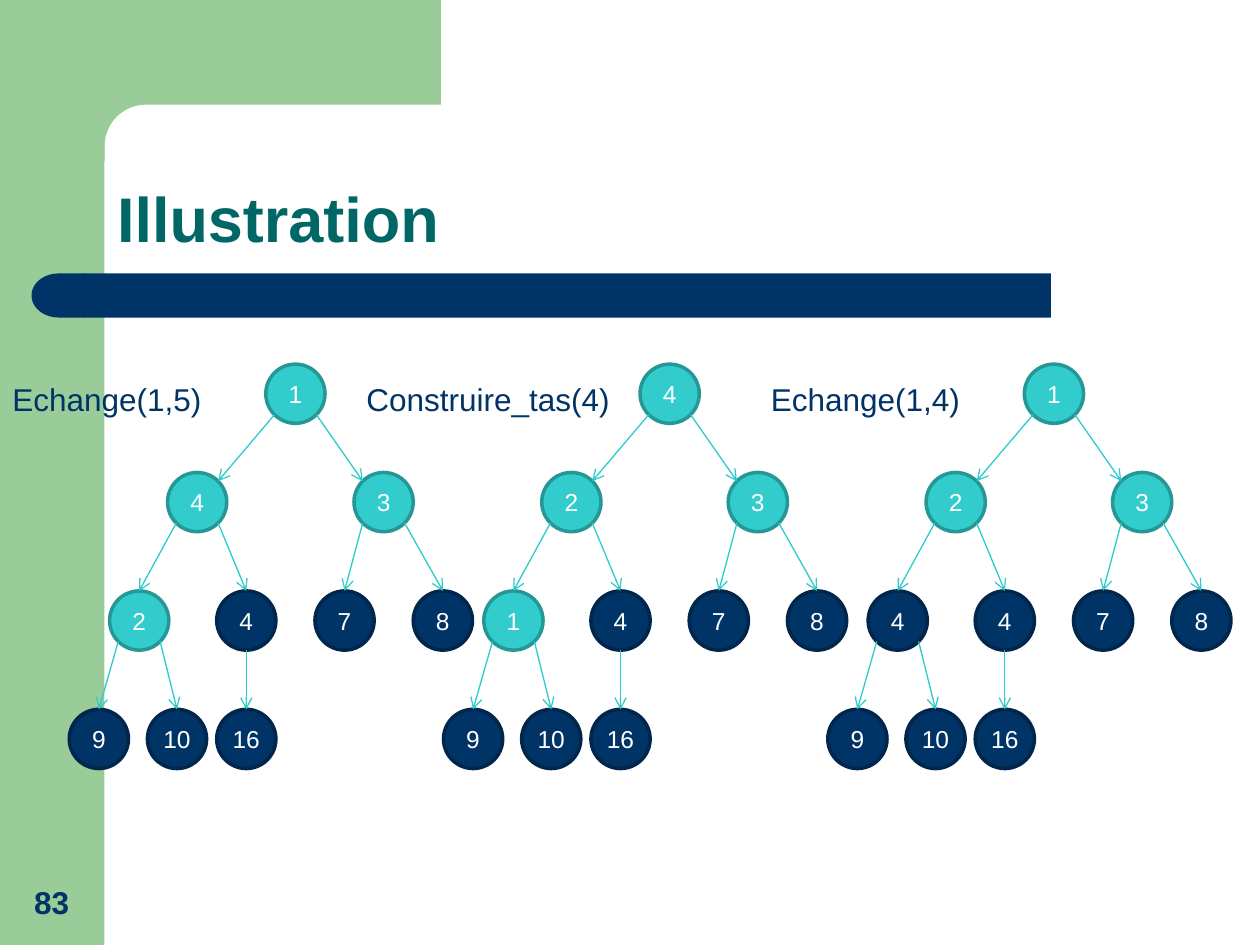
from math import cos, pi, sin, sqrt

from lxml import etree
from pptx import Presentation
from pptx.dml.color import RGBColor
from pptx.enum.shapes import MSO_CONNECTOR, MSO_SHAPE
from pptx.enum.text import MSO_ANCHOR, MSO_AUTO_SIZE, PP_ALIGN
from pptx.oxml.ns import qn
from pptx.util import Inches, Pt

RECT, ROUND = MSO_SHAPE.RECTANGLE, MSO_SHAPE.ROUNDED_RECTANGLE
DELAY, OVAL = MSO_SHAPE.FLOWCHART_DELAY, MSO_SHAPE.OVAL
LINE = MSO_CONNECTOR.STRAIGHT
TOP, MIDDLE, BOTTOM = MSO_ANCHOR.TOP, MSO_ANCHOR.MIDDLE, MSO_ANCHOR.BOTTOM
LEFT, CENTER = PP_ALIGN.LEFT, PP_ALIGN.CENTER
FIXED = MSO_AUTO_SIZE.NONE

GREEN, NAVY, TEAL, WHITE = "99CC99", "003366", "33CCCC", "FFFFFF"
SIZE = 0.47
DIAG = SIZE / 2 / sqrt(2)
SPOTS = [
    (2.11, 2.89), (1.33, 3.75), (2.81, 3.75), (0.87, 4.69), (1.72, 4.69),
    (2.5, 4.69), (3.28, 4.69), (0.55, 5.63), (1.17, 5.63), (1.72, 5.63),
]
TREES = [
    (0, [1, 4, 3, 2, 4, 7, 8, 9, 10, 16], 4),
    (2.97, [4, 2, 3, 1, 4, 7, 8, 9, 10, 16], 4),
    (6.02, [1, 2, 3, 4, 4, 7, 8, 9, 10, 16], 3),
]
LABELS = [
    ("Echange(1,5)", 0, 1.8),
    ("Construire_tas(4)", 2.81, 2.42),
    ("Echange(1,4)", 6.02, 1.8),
]


def color(code):
    """Turn a hex string into a colour."""
    return RGBColor.from_string(code)


def write(shape, text, size, code, bold=False, align=LEFT, anchor=TOP):
    """Set one line of text and its format."""
    frame = shape.text_frame
    frame.text = text
    frame.word_wrap = True
    frame.vertical_anchor = anchor
    line = frame.paragraphs[0]
    line.alignment = align
    font = line.runs[0].font
    font.name, font.size, font.bold = "Arial", Pt(size), bold
    font.color.rgb = color(code)


def paint(shape, fill, edge=None):
    """Fill a shape and set its outline."""
    shape.shadow.inherit = False
    shape.fill.solid()
    shape.fill.fore_color.rgb = color(fill)
    if edge:
        shape.line.color.rgb = color(edge)
        shape.line.width = Pt(2)
    else:
        shape.line.fill.background()


def add_block(slide, kind, box, fill, edge=None):
    """Add a filled preset shape."""
    shape = slide.shapes.add_shape(kind, *map(Inches, box))
    paint(shape, fill, edge)
    return shape


def add_corner(slide):
    """Add the green band with its round inner corner."""
    turns = [pi / 2 * step / 12 for step in range(13)]
    arc = [(1.16 - 0.33 * sin(t), 1.16 - 0.33 * cos(t)) for t in turns]
    spots = [(3.5, 0), (3.5, 0.83), *arc, (0.83, 1.28), (0.5, 1.28), (0.5, 0)]
    points = [(Inches(x), Inches(y)) for x, y in spots]
    pen = slide.shapes.build_freeform(*points[0])
    pen.add_line_segments(points[1:])
    paint(pen.convert_to_shape(), GREEN)


def add_label(slide, text, box, **style):
    """Add a navy text box."""
    shape = slide.shapes.add_textbox(*map(Inches, box))
    write(shape, text, 18, NAVY, **style)


def add_node(slide, text, x, y, live):
    """Add a numbered tree node."""
    fill, edge = (TEAL, "269797") if live else (NAVY, "00264B")
    node = add_block(slide, OVAL, (x, y, SIZE, SIZE), fill, edge)
    frame = node.text_frame
    frame.margin_left = frame.margin_right = 0
    frame.margin_top = frame.margin_bottom = 0
    write(node, text, 14, WHITE, align=CENTER, anchor=MIDDLE)


def add_arrow(slide, start, end):
    """Add a thin line with an open arrowhead."""
    arrow = slide.shapes.add_connector(LINE, *map(Inches, start + end))
    arrow.line.color.rgb = color("2ECBCB")
    arrow.line.width = Pt(0.75)
    etree.SubElement(arrow.line._get_or_add_ln(), qn("a:tailEnd"), type="arrow")
    etree.SubElement(arrow._element.spPr, qn("a:effectLst"))


def add_tree(slide, shift, keys, live):
    """Add a binary heap, its first live nodes in teal."""
    mids = [(x + shift + SIZE / 2, y + SIZE / 2) for x, y in SPOTS]
    for rank, (key, (x, y)) in enumerate(zip(keys, mids)):
        add_node(slide, str(key), x - SIZE / 2, y - SIZE / 2, rank < live)
    for rank in range(2, len(keys) + 1):
        (px, py), (x, y) = mids[rank // 2 - 1], mids[rank - 1]
        side = DIAG if rank % 2 else -DIAG
        start = (px + side, py + DIAG)
        end = (x, y - SIZE / 2)
        if rank <= 3:
            end = (x - side, y - DIAG)
        elif rank == len(keys):
            start = (px, py + SIZE / 2)
        add_arrow(slide, start, end)


def add_frame(slide):
    """Add the green margin and the navy bar."""
    add_block(slide, RECT, (0, 0, 0.83, 7.5), GREEN)
    add_corner(slide)
    bar = add_block(slide, ROUND, (0.67, 2.17, 7.67, 0.35), NAVY)
    bar.adjustments[0] = 0
    cap = add_block(slide, DELAY, (0.25, 2.17, 0.43, 0.35), NAVY)
    cap.rotation = 180


def set_title(slide, text):
    """Place and format the title."""
    title = slide.shapes.title
    title.left, title.top = Inches(0.83), Inches(0.83)
    title.width, title.height = Inches(8.67), Inches(1.25)
    write(title, text, 36, "006666", bold=True, anchor=BOTTOM)
    title.text_frame.auto_size = FIXED
    title.text_frame.paragraphs[0].line_spacing = 0.9


def main():
    """Build the slide and save it."""
    deck = Presentation()
    deck.slide_width, deck.slide_height = Inches(10), Inches(7.5)
    slide = deck.slides.add_slide(deck.slide_layouts[5])
    add_frame(slide)
    set_title(slide, "Illustration")
    add_label(slide, "83", (0.09, 6.83, 0.64, 0.53),
              bold=True, align=CENTER, anchor=BOTTOM)
    for text, x, width in LABELS:
        add_label(slide, text, (x, 2.97, width, 0.4))
    for shift, keys, live in TREES:
        add_tree(slide, shift, keys, live)
    deck.save("out.pptx")


if __name__ == "__main__":
    main()
